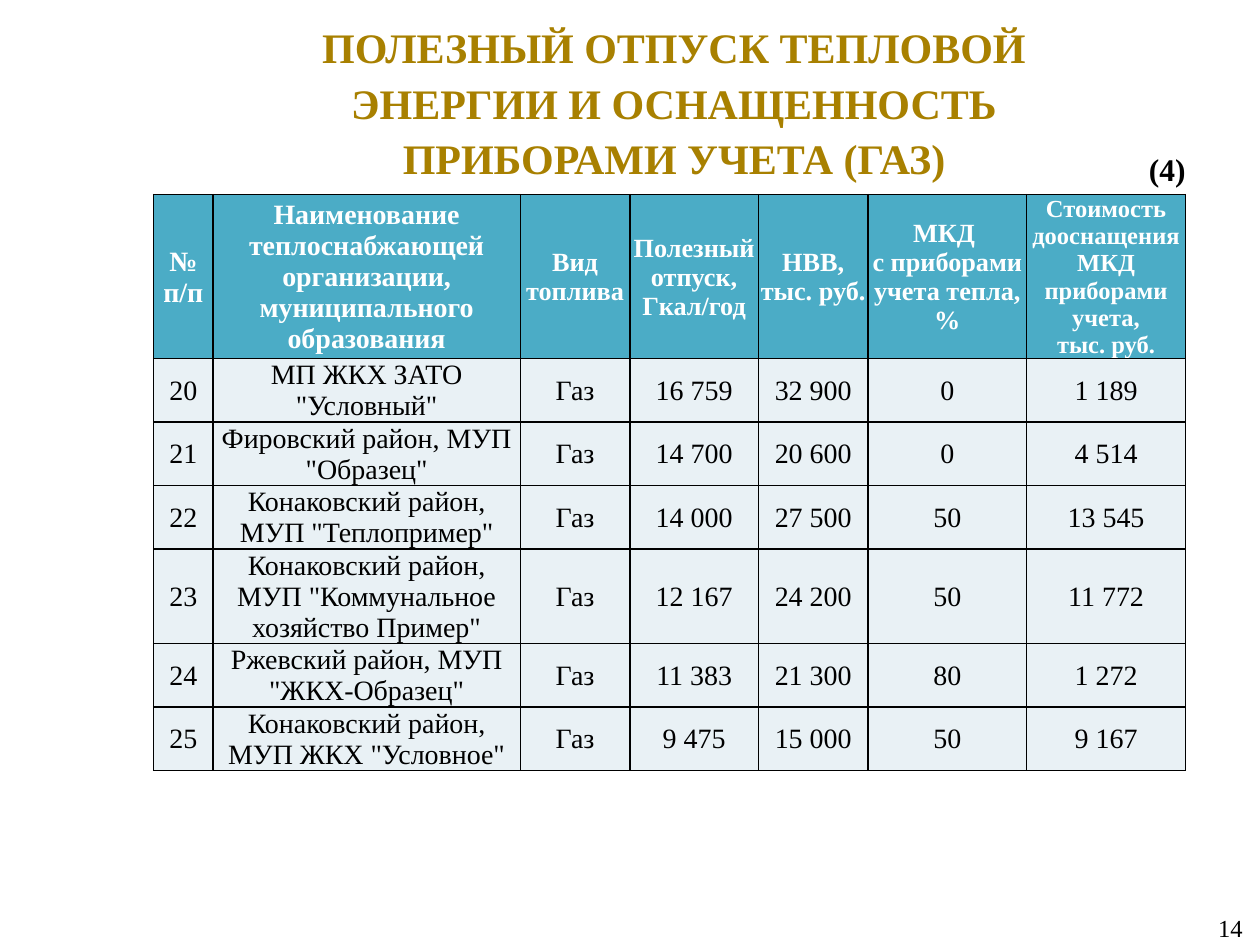
from pptx import Presentation
from pptx.dml.color import RGBColor
from pptx.enum.text import MSO_ANCHOR, MSO_AUTO_SIZE, PP_ALIGN
from pptx.oxml import parse_xml
from pptx.oxml.ns import nsdecls
from pptx.util import Inches, Pt

MID, TOP = MSO_ANCHOR.MIDDLE, MSO_ANCHOR.TOP
CENTER, LEFT, JUST = PP_ALIGN.CENTER, PP_ALIGN.LEFT, PP_ALIGN.JUSTIFY
FIXED, GROW = MSO_AUTO_SIZE.NONE, MSO_AUTO_SIZE.SHAPE_TO_FIT_TEXT
FONT = "Times New Roman"
BLACK, WHITE, GOLD = "000000", "FFFFFF", "A88000"
TEAL, PALE = "4BACC6", "E9F1F5"

deck = Presentation()
deck.slide_width, deck.slide_height = Inches(10), Inches(7.5)
slide = deck.slides.add_slide(deck.slide_layouts[5])


def area(x, y, w, h):
    wide, high = deck.slide_width / 100, deck.slide_height / 100
    return int(x * wide), int(y * high), int(w * wide), int(h * high)


def write(frame, text, size, tint, bold, align):
    for i, part in enumerate(text.split("\n")):
        para = frame.paragraphs[0] if i == 0 else frame.add_paragraph()
        para.alignment = align
        for j, line in enumerate(part.split("\v")):
            if j:
                para.add_line_break()
            run = para.add_run()
            run.text = line
            font = run.font
            font.name, font.size, font.bold = FONT, Pt(size), bold
            font.color.rgb = RGBColor.from_string(tint)


title = slide.shapes.title
title.left, title.top, title.width, title.height = area(16.1, 6.93, 74.8, 7.33)
frame = title.text_frame
frame.word_wrap, frame.auto_size = True, FIXED
frame.vertical_anchor = MID
write(frame, "ПОЛЕЗНЫЙ ОТПУСК ТЕПЛОВОЙ ЭНЕРГИИ И ОСНАЩЕННОСТЬ ПРИБОРАМИ УЧЕТА (ГАЗ)",
      24, GOLD, True, CENTER)
frame.paragraphs[0].line_spacing = 1.1

heads = [
    ("№ п/п", 16, 4.7),
    ("Наименование теплоснабжающей организации, муниципального образования", 16, 24.4),
    ("Вид топлива", 15, 8.7),
    ("Полезный отпуск, Гкал/год", 15, 10.2),
    ("НВВ,\nтыс. руб.", 15, 8.7),
    ("МКД \vс приборами учета тепла, %", 15, 12.6),
    ("Стоимость дооснащения МКД приборами учета,\nтыс. руб.", 14, 12.6),
]
firms = [
    ('МП ЖКХ ЗАТО "Условный"', "16 759", "32 900", "0", "1 189"),
    ('Фировский район, МУП "Образец"', "14 700", "20 600", "0", "4 514"),
    ('Конаковский район, МУП "Теплопример"', "14 000", "27 500", "50", "13 545"),
    ('Конаковский район, МУП "Коммунальное хозяйство Пример"',
     "12 167", "24 200", "50", "11 772"),
    ('Ржевский район, МУП "ЖКХ-Образец"', "11 383", "21 300", "80", "1 272"),
    ('Конаковский район, МУП ЖКХ "Условное"', "9 475", "15 000", "50", "9 167"),
]
rows = [[head[0] for head in heads]]
for num, (firm, *data) in enumerate(firms, 20):
    rows.append([str(num), firm, "Газ", *data])
highs = [17.33, 6.7, 6.7, 6.7, 10, 6.7, 6.7]

grid = slide.shapes.add_table(len(rows), len(heads),
                              *area(12.2, 20.6, 81.9, sum(highs))).table
for col, head in zip(grid.columns, heads):
    col.width = area(0, 0, head[2], 0)[2]
for row, high in zip(grid.rows, highs):
    row.height = area(0, 0, 0, high)[3]

for r, row in enumerate(rows):
    for c, text in enumerate(row):
        cell = grid.cell(r, c)
        cell.margin_left = cell.margin_right = cell.margin_top = Inches(0.01)
        cell.margin_bottom = 0
        cell.vertical_anchor = TOP if r and c == 1 else MID
        props = cell._tc.get_or_add_tcPr()
        for side in "LRTB":
            props.append(parse_xml(
                f'<a:ln{side} {nsdecls("a")} w="{Pt(1)}"><a:solidFill>'
                f'<a:srgbClr val="{BLACK}"/></a:solidFill></a:ln{side}>'))
        cell.fill.solid()
        cell.fill.fore_color.rgb = RGBColor.from_string(PALE if r else TEAL)
        write(cell.text_frame, text, 16 if r else heads[c][1],
              BLACK if r else WHITE, r == 0, CENTER)

notes = [
    ("(4)", (90.2, 15.2, 5.5, 5.33), 18, True, JUST, TOP),
    ("14", (95.7, 95.87, 4.3, 4.53), 14, False, LEFT, MID),
]
for text, place, size, bold, align, anchor in notes:
    frame = slide.shapes.add_textbox(*area(*place)).text_frame
    frame.word_wrap, frame.auto_size = False, GROW
    frame.vertical_anchor = anchor
    write(frame, text, size, BLACK, bold, align)

deck.save("out.pptx")
